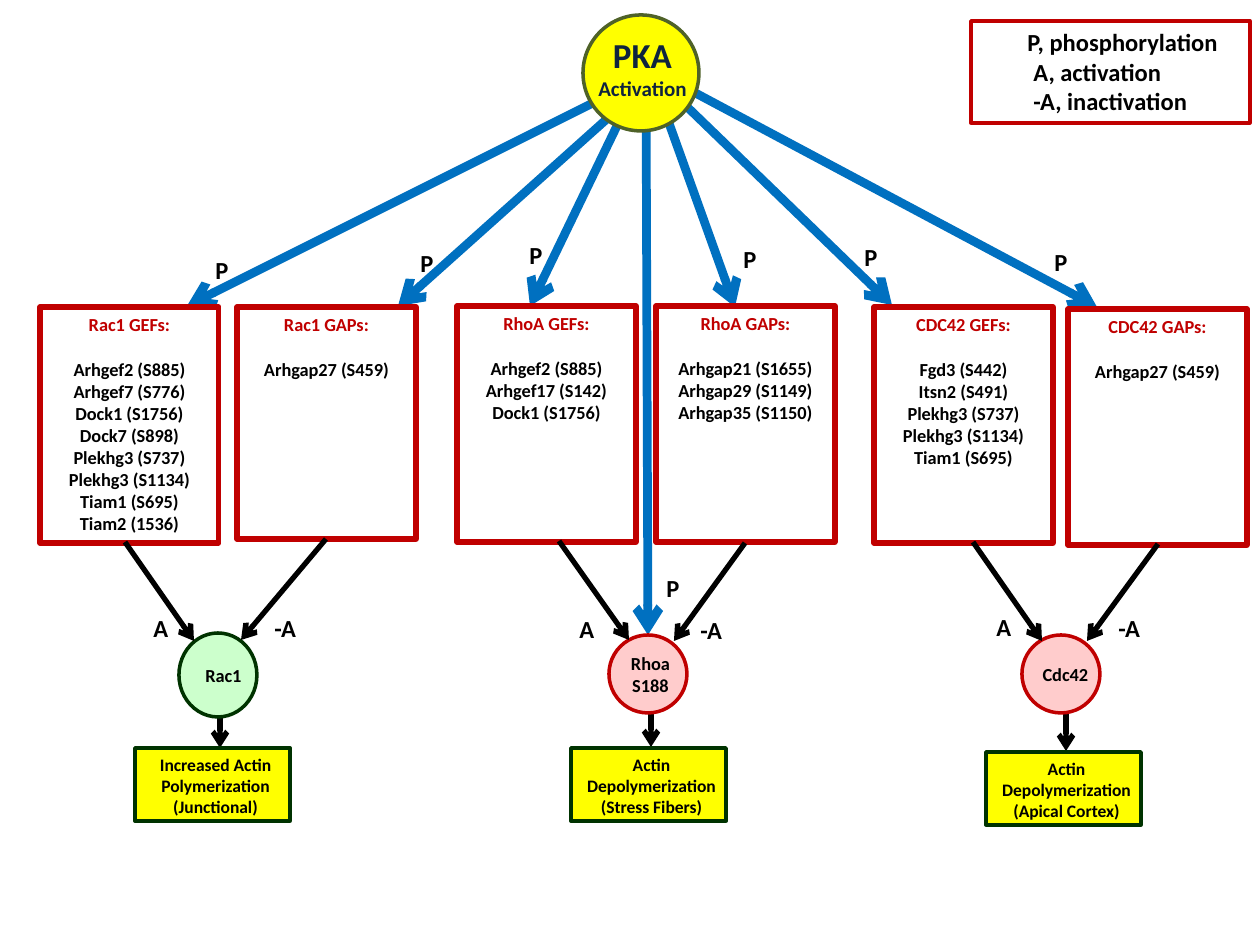
import pptx
import pptx.util
import pptx.dml.color
import pptx.enum.shapes
import pptx.enum.text
import pptx.oxml.ns
from lxml import etree

RGB = pptx.dml.color.RGBColor
SHAPE = pptx.enum.shapes.MSO_SHAPE
ALIGN = pptx.enum.text.PP_ALIGN
ANCHOR = pptx.enum.text.MSO_ANCHOR
Pt = pptx.util.Pt

SCALE = 914400 / 126  # EMU per px
FONT = "Calibri"

BLACK = RGB(0x00, 0x00, 0x00)
RED = RGB(0xC0, 0x00, 0x00)
BLUE = RGB(0x00, 0x70, 0xC0)
NAVY = RGB(0x0F, 0x24, 0x3E)
YELLOW = RGB(0xFF, 0xFF, 0x00)
OLIVE = RGB(0x4F, 0x62, 0x28)
DARK_GREEN = RGB(0x00, 0x33, 0x00)
PALE_GREEN = RGB(0xCC, 0xFF, 0xCC)
PINK = RGB(0xFF, 0xCC, 0xCC)

BOX_WIDTH = 179
# title, left, top, height, phosphorylation sites
REGULATORS = [
    ("Rac1 GEFs:", 40, 307, 236,
     ["Arhgef2 (S885)", "Arhgef7 (S776)", "Dock1 (S1756)", "Dock7 (S898)",
      "Plekhg3 (S737)", "Plekhg3 (S1134)", "Tiam1 (S695)", "Tiam2 (1536)"]),
    ("Rac1 GAPs:", 237, 307, 232, ["Arhgap27 (S459)"]),
    ("RhoA GEFs:", 457, 306, 236,
     ["Arhgef2 (S885)", "Arhgef17 (S142)", "Dock1 (S1756)"]),
    ("RhoA GAPs:", 656, 306, 236,
     ["Arhgap21 (S1655)", "Arhgap29 (S1149)", "Arhgap35 (S1150)"]),
    ("CDC42 GEFs:", 874, 307, 236,
     ["Fgd3 (S442)", "Itsn2 (S491)", "Plekhg3 (S737)", "Plekhg3 (S1134)",
      "Tiam1 (S695)"]),
    ("CDC42 GAPs:", 1068, 309, 236, ["Arhgap27 (S459)"]),
]
# circle left, top, width, height, fill, line; text lines, left, top
GTPASES = [
    ((179, 633, 78, 84), PALE_GREEN, DARK_GREEN, ["Rac1"], 134, 658),
    ((609, 635, 78, 78), PINK, RED, ["Rhoa", "S188"], 561, 646),
    ((1022, 635, 78, 78), PINK, RED, ["Cdc42"], 976, 657),
]
# box left, top; text lines
OUTCOMES = [
    (135, 748, ["Increased Actin Polymerization", "(Junctional)"]),
    (571, 748, ["Actin Depolymerization", "(Stress Fibers)"]),
    (986, 752, ["Actin Depolymerization", "(Apical Cortex)"]),
]
# from x, from y, to x, to y
PKA_ARROWS = [
    (646, 73, 648, 635), (656, 72, 1097, 307), (651, 72, 892, 305),
    (651, 73, 735, 307), (643, 72, 530, 306), (665, 67, 398, 306),
    (665, 67, 187, 306),
]
OUTCOME_ARROWS = [(220, 656, 220, 748), (651, 654, 651, 747),
                  (1066, 659, 1066, 751)]
REGULATOR_ARROWS = [
    (125, 542, 194, 641), (326, 539, 241, 640), (559, 541, 629, 640),
    (745, 543, 674, 641), (973, 542, 1042, 641), (1158, 544, 1087, 641),
]
# left, top of every effect label
LABELS = {
    "P": [(203, 249), (408, 242), (517, 234), (731, 238), (852, 236),
          (1042, 241), (654, 567)],
    "A": [(141, 607), (567, 608), (984, 606)],
    "-A": [(262, 607), (688, 609), (1106, 607)],
}


def px(length):
    return pptx.util.Emu(round(length * SCALE))


def add_arrow(page, ends, color, width):
    line = page.shapes.add_connector(
        pptx.enum.shapes.MSO_CONNECTOR.STRAIGHT, *map(px, ends))
    line.line.color.rgb = color
    line.line.width = Pt(width)
    tail = etree.SubElement(line.line._get_or_add_ln(),
                            pptx.oxml.ns.qn("a:tailEnd"))
    tail.set("type", "arrow")
    etree.SubElement(line._element.spPr, pptx.oxml.ns.qn("a:effectLst"))


def add_outline(page, kind, place, line_color, width, fill=None):
    shape = page.shapes.add_shape(kind, *map(px, place))
    shape.shadow.inherit = False
    if fill is None:
        shape.fill.background()
    else:
        shape.fill.solid()
        shape.fill.fore_color.rgb = fill
    shape.line.color.rgb = line_color
    shape.line.width = Pt(width)
    return shape


def write_lines(box, lines, size, color=BLACK, align=ALIGN.CENTER):
    frame = box.text_frame
    frame.word_wrap = True
    frame.vertical_anchor = ANCHOR.TOP
    frame.text = "\n".join(lines)
    for para in frame.paragraphs:
        para.alignment = align
        para.font.name = FONT
        para.font.size = Pt(size)
        para.font.bold = True
        para.font.color.rgb = color
    return frame.paragraphs


def add_text(page, place, lines, size, color=BLACK, align=ALIGN.CENTER):
    box = page.shapes.add_textbox(*map(px, place))
    return write_lines(box, lines, size, color, align)


def add_regulator(page, title, left, top, height, sites):
    box = add_outline(page, SHAPE.RECTANGLE, (left, top, BOX_WIDTH, height),
                      RED, 3)
    heading = write_lines(box, [title] + sites, 10.5)[0]
    heading.font.color.rgb = RED
    heading.space_after = Pt(12.8)


def add_legend(page):
    box = add_outline(page, SHAPE.RECTANGLE, (971, 21, 279, 102), RED, 2)
    lines = ["P, phosphorylation", "A, activation", "-A, inactivation"]
    paras = write_lines(box, lines, 14, align=ALIGN.LEFT)
    for para, indent in zip(paras, (44, 50, 50)):
        para._p.get_or_add_pPr().set("marL", str(px(indent)))


def main():
    deck = pptx.Presentation()
    deck.slide_width = px(1260)
    deck.slide_height = px(945)
    page = deck.slides.add_slide(deck.slide_layouts[6])

    # Arrows that start behind the circles
    for ends in OUTCOME_ARROWS:
        add_arrow(page, ends, BLACK, 3)
    for ends in PKA_ARROWS:
        add_arrow(page, ends, BLUE, 5)

    # PKA and legend
    add_outline(page, SHAPE.OVAL, (583, 15, 116, 116), OLIVE, 2, YELLOW)
    paras = add_text(page, (582, 27, 121, 81), ["PKA", "Activation"], 12, NAVY)
    paras[0].font.size = Pt(20)
    add_legend(page)

    # GEF and GAP boxes
    for regulator in REGULATORS:
        add_regulator(page, *regulator)

    # GTPases and their outcomes
    for place, fill, line_color, lines, left, top in GTPASES:
        add_outline(page, SHAPE.OVAL, place, line_color, 2, fill)
        add_text(page, (left, top, BOX_WIDTH, 57), lines, 10.5)
    for left, top, lines in OUTCOMES:
        add_outline(page, SHAPE.RECTANGLE, (left, top, 155, 73),
                    DARK_GREEN, 2, YELLOW)
        add_text(page, (left - 9, top, BOX_WIDTH, 98), lines, 10)

    # Effects of the regulators
    for ends in REGULATOR_ARROWS:
        add_arrow(page, ends, BLACK, 3)
    for label, places in LABELS.items():
        for left, top in places:
            add_text(page, (left, top, 78, 43), [label], 14, align=ALIGN.LEFT)

    deck.save("out.pptx")


if __name__ == "__main__":
    main()
